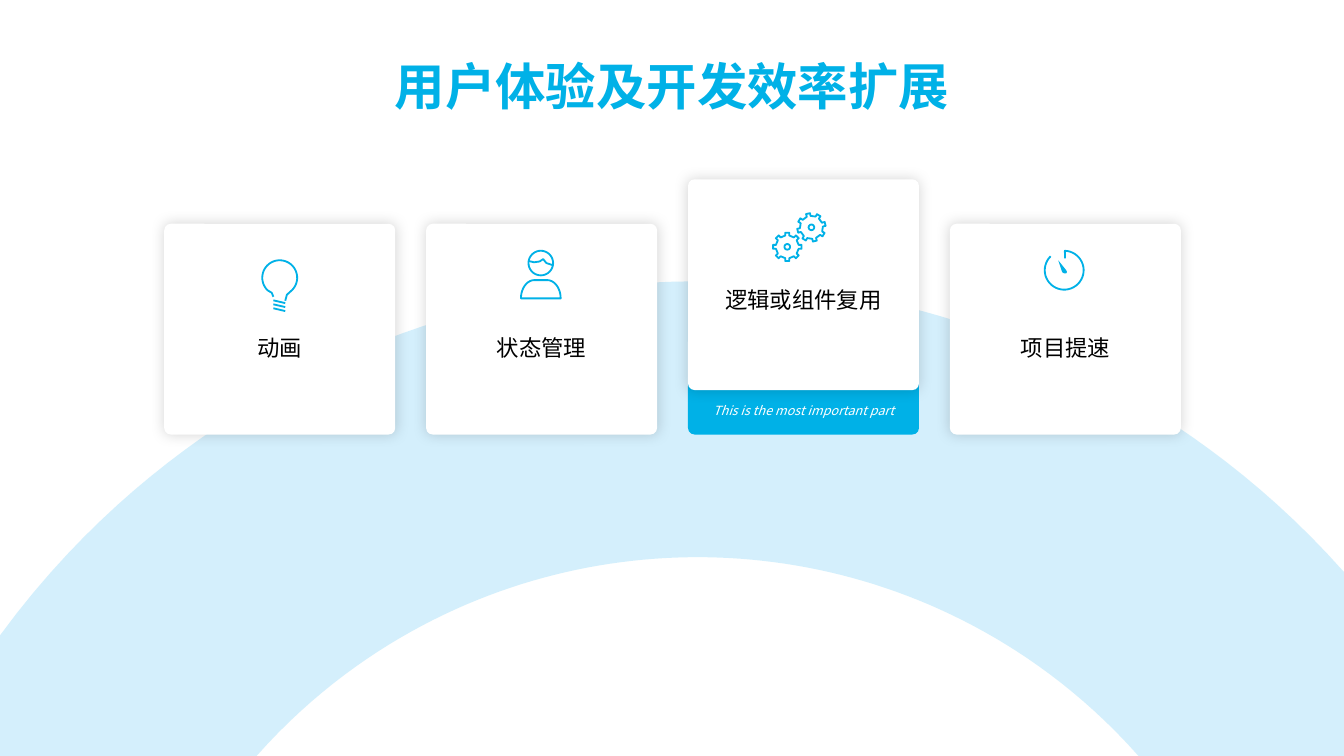
from math import cos, pi, radians, sin, sqrt

from lxml import etree
from pptx import Presentation
from pptx.dml.color import RGBColor
from pptx.enum.shapes import MSO_SHAPE
from pptx.enum.text import MSO_AUTO_SIZE, PP_ALIGN
from pptx.oxml.ns import qn
from pptx.util import Cm, Pt

ROUNDED = MSO_SHAPE.ROUNDED_RECTANGLE
CENTER = PP_ALIGN.CENTER
FIT_SHAPE = MSO_AUTO_SIZE.SHAPE_TO_FIT_TEXT

CYAN = RGBColor(0x00, 0xB1, 0xE7)
PALE_BLUE = RGBColor(0x94, 0xD9, 0xF8)
WHITE = RGBColor(0xFF, 0xFF, 0xFF)
BLACK = RGBColor(0x00, 0x00, 0x00)
FONT = "Noto Sans CJK SC"

SLIDE_W, SLIDE_H = 33.87, 19.05
CARD_W, CARD_H = 5.82, 5.31
CARD_LEFT, CARD_STEP = 4.14, 6.6
CARD_TOP, RAISED_TOP = 5.64, 4.52
LABEL_DROP = 2.44
RAISED = 2
LABELS = ["动画", "状态管理", "逻辑或组件复用", "项目提速"]


def arc(cx, cy, rx, ry, start, end, steps=40):
    """Points of an elliptical arc, clockwise, angles in degrees."""
    angles = [radians(start + (end - start) * i / steps) for i in range(steps + 1)]
    return [(cx + rx * cos(a), cy + ry * sin(a)) for a in angles]


def circle(r):
    return arc(0, 0, r, r, 0, 360)


def add_freeform(shapes, contours, x=0, y=0, close=False):
    """Join contours, given in cm from (x, y), into one shape."""
    builder = None
    for contour in contours:
        points = [(Cm(x + px), Cm(y + py)) for px, py in contour]
        if builder is None:
            builder = shapes.build_freeform(*points[0], scale=1.0)
        else:
            builder.move_to(*points[0])
        builder.add_line_segments(points[1:], close=close)
    s = builder.convert_to_shape()
    s.shadow.inherit = False
    return s


def add_filled(shapes, points, color, x=0, y=0):
    s = add_freeform(shapes, [points], x, y, close=True)
    s.fill.solid()
    s.fill.fore_color.rgb = color
    s.line.fill.background()
    return s


def add_line_icon(shapes, contours, x, y):
    s = add_freeform(shapes, contours, x, y)
    s.fill.background()
    s.line.color.rgb = CYAN
    s.line.width = Pt(1.3)


def add_arch(shapes):
    """Pale ring around a centre below the slide, cut at the slide edges."""
    cx, cy, outer, inner = 17.58, 28.87, 21.78, 14.83
    half = sqrt(inner ** 2 - (cy - SLIDE_H) ** 2)
    steps = 80

    def edge(r, x1, x2):
        xs = [x1 + (x2 - x1) * i / steps for i in range(steps + 1)]
        return [(x, cy - sqrt(r ** 2 - (x - cx) ** 2)) for x in xs]

    points = [(0, SLIDE_H), *edge(outer, 0, SLIDE_W), (SLIDE_W, SLIDE_H),
              *edge(inner, cx + half, cx - half)]
    s = add_filled(shapes, points, PALE_BLUE)
    color = s.fill._xPr.find(qn("a:solidFill"))[0]
    etree.SubElement(color, qn("a:alpha"), val="40000")


def add_card(shapes, x, y, color, shadow=True):
    s = shapes.add_shape(ROUNDED, Cm(x), Cm(y), Cm(CARD_W), Cm(CARD_H))
    s.adjustments[0] = 0.031
    s.fill.solid()
    s.fill.fore_color.rgb = color
    s.line.fill.background()
    s.shadow.inherit = False
    if shadow:
        effects = s._element.spPr.find(qn("a:effectLst"))
        outer = etree.SubElement(effects, qn("a:outerShdw"), blurRad=str(Pt(10)),
                                 dist="0", dir="0", algn="ctr", rotWithShape="0")
        rgb = etree.SubElement(outer, qn("a:srgbClr"), val=str(BLACK))
        etree.SubElement(rgb, qn("a:alpha"), val="16000")


def add_text(shapes, box, text, size, color, wrap=False, spacing=None):
    s = shapes.add_textbox(*map(Cm, box))
    tf = s.text_frame
    tf.text = text
    tf.word_wrap = wrap
    tf.auto_size = FIT_SHAPE
    p = tf.paragraphs[0]
    p.alignment = CENTER
    if spacing:
        p.line_spacing = spacing
    r = p.runs[0]
    r.font.size = Pt(size)
    r.font.color.rgb = color
    r.font.name = FONT
    etree.SubElement(r.font._element, qn("a:ea"), typeface=FONT)
    return tf


def add_label(shapes, center, top, text):
    width = len(text) * Pt(16).cm + 0.51
    add_text(shapes, (center - width / 2, top, width, 1.14), text, 16, BLACK,
             spacing=1.3)


def add_title(shapes, text):
    width = len(text) * Pt(36).cm
    tf = add_text(shapes, ((SLIDE_W - width) / 2, 1.4, width, 1.55), text, 36, CYAN)
    tf.margin_left = tf.margin_right = tf.margin_top = tf.margin_bottom = 0
    tf.paragraphs[0].runs[0].font.bold = True


def add_highlight(shapes, x):
    """Cyan card behind the raised one, with its caption."""
    group = shapes.add_group_shape().shapes
    add_card(group, x, CARD_TOP, CYAN, shadow=False)
    tf = add_text(group, (x, 10.03, CARD_W, 0.64), "This is the most important part",
                  9, WHITE, wrap=True)
    tf.paragraphs[0].runs[0].font.italic = True


def add_bulb(shapes, x, y):
    glass = [(-0.16, 0.48), (-0.2, 0.38), *arc(0, 0, 0.44, 0.44, 134, 411),
             (0.18, 0.43), (0.14, 0.58)]
    thread = [[(-0.16, 0.57 + 0.1 * i), (0.14, 0.64 + 0.1 * i)] for i in range(3)]
    add_line_icon(shapes, [glass, *thread], x, y)


def add_person(shapes, x, y):
    hair = [(-0.3, -0.05), (-0.17, -0.02), (-0.03, -0.04), (0.06, -0.1),
            (0.14, 0), (0.29, 0.05)]
    body = [*arc(-0.16, 0.89, 0.34, 0.46, 180, 270),
            *arc(0.16, 0.89, 0.34, 0.46, 270, 360), (-0.5, 0.89)]
    add_line_icon(shapes, [circle(0.31), hair, body], x, y)


def add_gear(shapes, x, y, turn):
    root, tip, teeth = 0.29, 0.36, 8
    rim = []
    for i in range(teeth):
        middle = radians(turn) + 2 * pi * i / teeth
        for r, offset in [(root, -0.17), (tip, -0.14), (tip, 0.14), (root, 0.17)]:
            rim.append((r * cos(middle + offset), r * sin(middle + offset)))
    add_line_icon(shapes, [rim + rim[:1], circle(0.07)], x, y)


def add_timer(shapes, x, y):
    dial = [(0.02, -0.3), *arc(0, 0, 0.49, 0.49, -88, 226)]
    needle = [(-0.15, -0.25), (-0.05, 0.05), (0, 0.08), (0.05, 0.08),
              (0.07, 0.04), (0.05, 0)]
    add_line_icon(shapes, [dial], x, y)
    add_filled(shapes, needle, CYAN, x, y)


def main():
    prs = Presentation()
    prs.slide_width, prs.slide_height = Cm(SLIDE_W), Cm(SLIDE_H)
    shapes = prs.slides.add_slide(prs.slide_layouts[6]).shapes

    add_arch(shapes)
    add_highlight(shapes, CARD_LEFT + RAISED * CARD_STEP)
    for i, label in enumerate(LABELS):
        x = CARD_LEFT + i * CARD_STEP
        top = RAISED_TOP if i == RAISED else CARD_TOP
        add_card(shapes, x, top, WHITE)
        drop = LABEL_DROP - 0.08 if i == RAISED else LABEL_DROP
        add_label(shapes, x + CARD_W / 2, top + drop, label)
    add_title(shapes, "用户体验及开发效率扩展")

    add_bulb(shapes, 7.05, 7)
    add_person(shapes, 13.63, 6.63)
    add_gear(shapes, 19.84, 6.22, 0)
    add_gear(shapes, 20.45, 5.73, -14)
    add_timer(shapes, 26.82, 6.81)
    prs.save("out.pptx")


if __name__ == "__main__":
    main()
